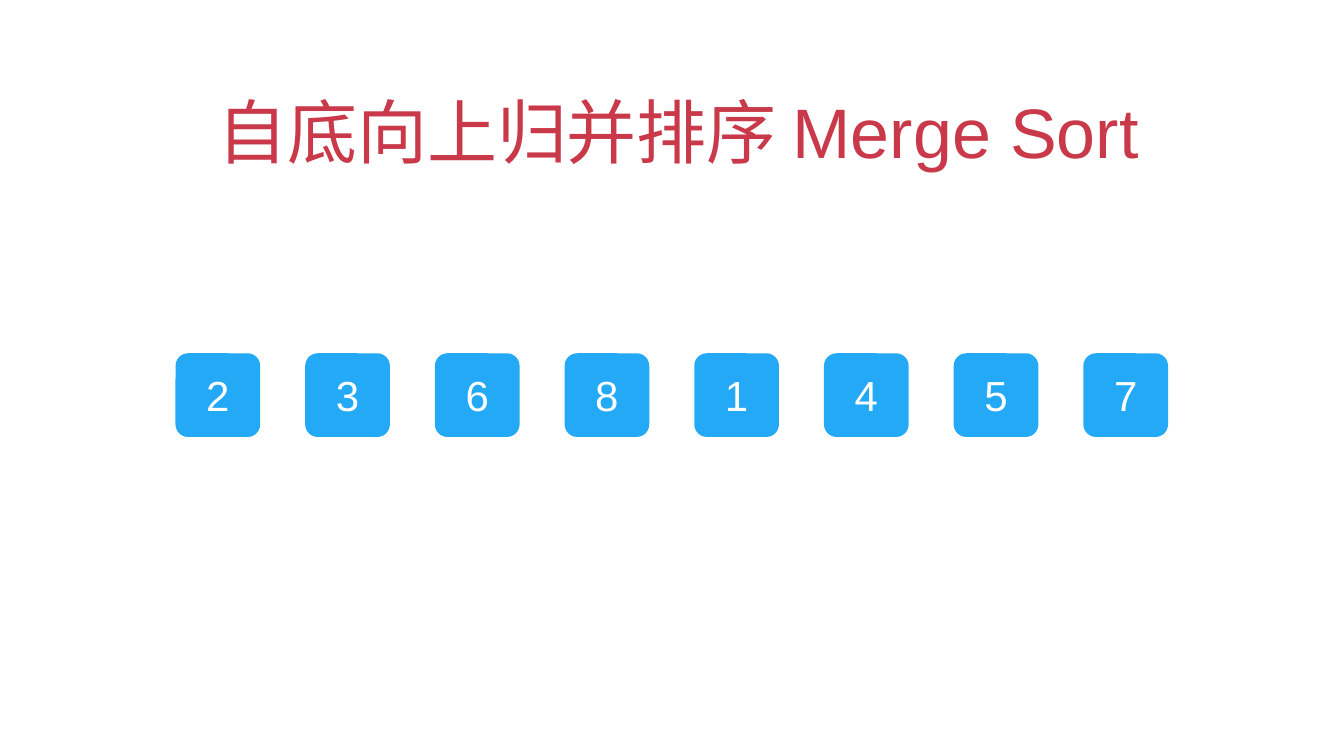
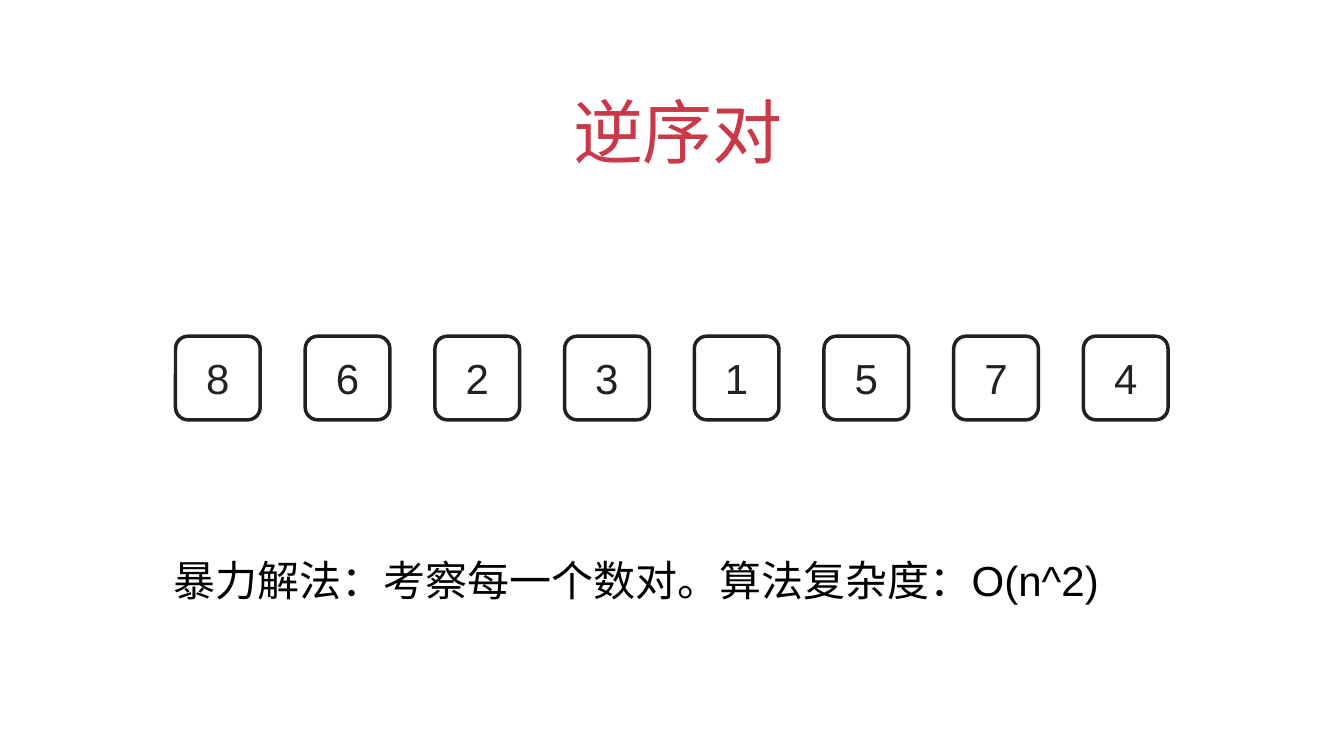
"""Build two slides on bottom-up merge sort and inversion pairs."""
import dataclasses

import pptx
import pptx.dml.color
import pptx.enum.shapes
import pptx.enum.text
import pptx.util

ALIGN = pptx.enum.text.PP_ALIGN
ANCHOR = pptx.enum.text.MSO_ANCHOR
FIT = pptx.enum.text.MSO_AUTO_SIZE


@dataclasses.dataclass(frozen=True)
class Theme:
    """Colours, type sizes and the percent grid of the deck."""
    font: str = "Arial"
    heading: str = "C9394A"
    sorted_fill: str = "23A9F6"
    outline: str = "212121"
    light: str = "FFFFFF"
    body: str = "000000"
    heading_size: int = 100
    body_size: int = 60
    outline_width: int = 5
    inset: float = 0.06
    title_area: tuple = (7.27, 8.47, 85.41, 14.8)
    note_area: tuple = (12.71, 65.47, 84.21, 19.07)
    tile_left: float = 13.06
    tile_pitch: float = 9.65
    tile_size: tuple = (6.3, 11.07)


def apply(target, values):
    """Set each attribute of target from a dict of format values."""
    for name, value in values.items():
        setattr(target, name, value)


def rgb(code):
    """Turn a hex code into a colour."""
    return pptx.dml.color.RGBColor.from_string(code)


class Deck:
    """Hold the style and the current slide."""

    def __init__(self, theme):
        """Open a wide presentation in the given theme."""
        self.theme = theme
        self.show = pptx.Presentation()
        apply(self.show, {"slide_width": pptx.util.Inches(26.67),
                          "slide_height": pptx.util.Inches(15)})
        self.slide = None

    def area(self, left, top, width, height):
        """Convert percent columns and rows to a place on the slide."""
        across, down = self.show.slide_width / 100, self.show.slide_height / 100
        return (round(left * across), round(top * down),
                round(width * across), round(height * down))

    def label(self, holder, wording, colour, size, align, anchor, fit=FIT.NONE):
        """Add one formatted paragraph and return it."""
        frame = holder.text_frame
        sides = ("left", "top", "right", "bottom")
        inset = pptx.util.Inches(self.theme.inset)
        apply(frame, {f"margin_{side}": inset for side in sides})
        apply(frame, {"word_wrap": True, "auto_size": fit,
                      "vertical_anchor": anchor})
        line = frame.paragraphs[0]
        line.alignment = align
        run = line.add_run()
        run.text = wording
        apply(run.font, {"name": self.theme.font, "size": pptx.util.Pt(size)})
        run.font.color.rgb = rgb(colour)
        return line

    def titled_slide(self, wording):
        """Start a slide with its heading."""
        self.slide = self.show.slides.add_slide(self.show.slide_layouts[5])
        heading = self.slide.shapes.title
        places = self.area(*self.theme.title_area)
        apply(heading, dict(zip(("left", "top", "width", "height"), places)))
        line = self.label(heading, wording, self.theme.heading,
                          self.theme.heading_size, ALIGN.CENTER, ANCHOR.BOTTOM)
        line._p.get_or_add_pPr().set("indent", str(pptx.util.Inches(0.25)))

    def array(self, numbers, top, filled):
        """Draw the numbers as a row of evenly spaced tiles."""
        for index, number in enumerate(numbers):
            left = self.theme.tile_left + index * self.theme.tile_pitch
            self.tile(number, left, top, filled)

    def tile(self, number, left, top, filled):
        """Draw one number in a filled or outlined rounded tile."""
        tile = self.slide.shapes.add_shape(
            pptx.enum.shapes.MSO_SHAPE.ROUNDED_RECTANGLE,
            *self.area(left, top, *self.theme.tile_size))
        tile.adjustments[0] = 0.15
        tile.shadow.inherit = False
        if filled:
            tile.fill.solid()
            tile.fill.fore_color.rgb = rgb(self.theme.sorted_fill)
            tile.line.fill.background()
        else:
            tile.fill.background()
            tile.line.color.rgb = rgb(self.theme.outline)
            tile.line.width = pptx.util.Pt(self.theme.outline_width)
        colour = self.theme.light if filled else self.theme.outline
        self.label(tile, number, colour, self.theme.body_size,
                   ALIGN.CENTER, ANCHOR.MIDDLE)

    def note(self, wording):
        """Place the explanation below the array."""
        note = self.slide.shapes.add_textbox(*self.area(*self.theme.note_area))
        line = self.label(note, wording, self.theme.body, self.theme.body_size,
                          ALIGN.LEFT, ANCHOR.MIDDLE, FIT.SHAPE_TO_FIT_TEXT)
        line.line_spacing = 1.5


deck = Deck(Theme())

deck.titled_slide("自底向上归并排序 Merge Sort")
deck.array("23681457", top=46.73, filled=True)

deck.titled_slide("逆序对")
deck.array("86231574", top=44.47, filled=False)
deck.note("暴力解法：考察每一个数对。算法复杂度：O(n^2)")

deck.show.save("out.pptx")
